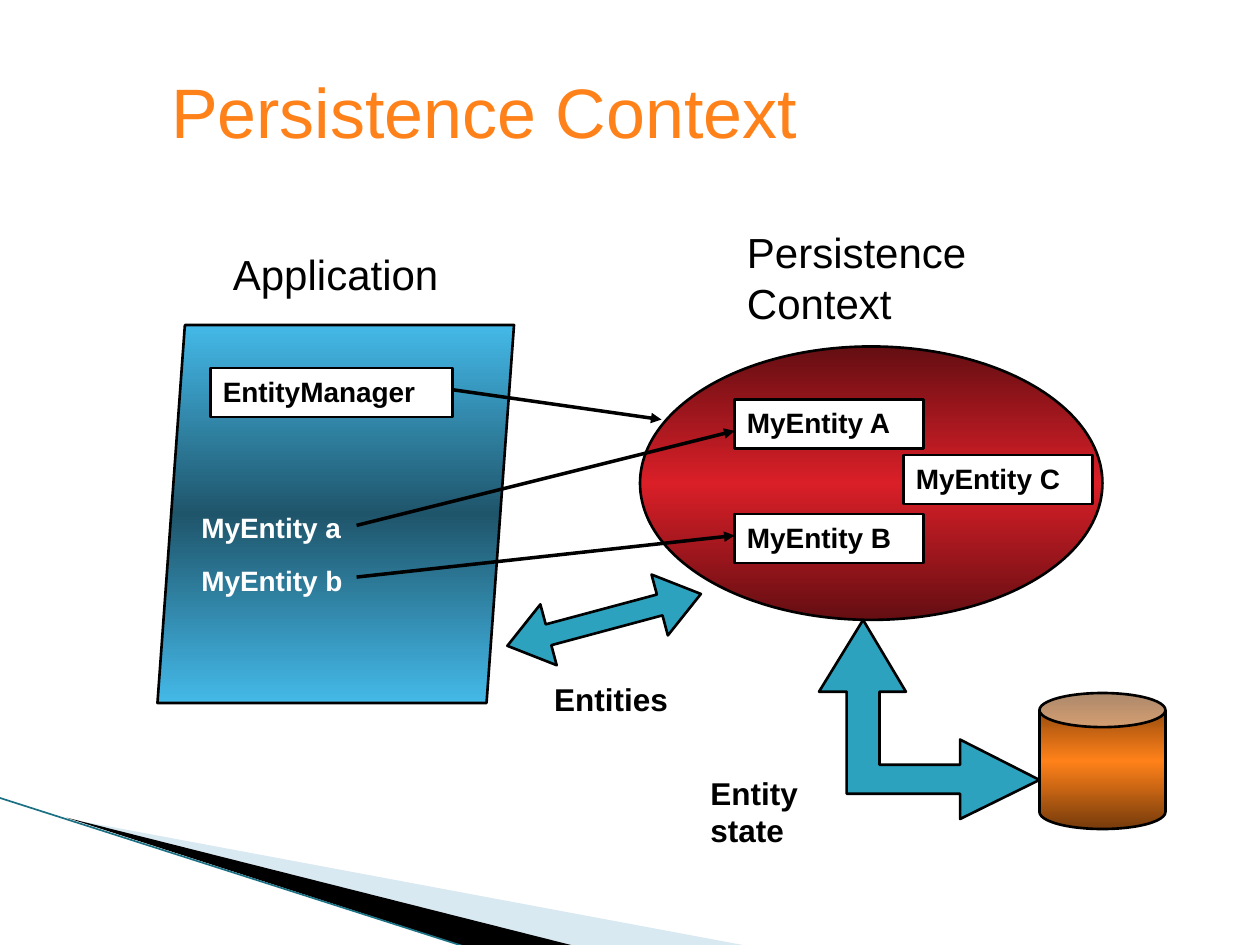
import copy
from lxml import etree
from pptx import Presentation
from pptx.dml.color import RGBColor
from pptx.enum import shapes, text
from pptx.oxml import ns
from pptx.util import Inches, Pt

presentation = Presentation()
presentation.slide_width, presentation.slide_height = Inches(10), Inches(7.5)
slide = presentation.slides.add_slide(presentation.slide_layouts[6])
KIND = shapes.MSO_SHAPE
BLACK, WHITE, TEAL = "000000", "FFFFFF", "2DA2BF"


def paint(shape, colours, outline=BLACK):
    """Fill with one colour, or with a vertical gradient of three."""
    shape.shadow.inherit = False
    if len(colours) == 1:
        shape.fill.solid()
        shape.fill.fore_color.rgb = RGBColor.from_string(colours[0])
    else:
        shape.fill.gradient()
        shape.fill.gradient_angle = 270
        stop_list = shape._element.spPr.find(".//" + ns.qn("a:gsLst"))
        stop_list.insert(1, copy.deepcopy(stop_list[0]))
        for stop, colour, position in zip(shape.fill.gradient_stops, colours, (0, 0.5, 1)):
            stop.color.rgb = RGBColor.from_string(colour)
            stop.position = position
    if outline:
        shape.line.color.rgb = RGBColor.from_string(outline)
        shape.line.width = Pt(1.5)
    else:
        shape.line.fill.background()


def write(shape, words, size, colour, bold=True, anchor=text.MSO_ANCHOR.TOP):
    frame = shape.text_frame
    frame.word_wrap = True
    frame.vertical_anchor = anchor
    paragraph = frame.paragraphs[0]
    paragraph.text = words
    paragraph.alignment = text.PP_ALIGN.LEFT
    paragraph.font.name = "Arial"
    paragraph.font.size = Pt(size)
    paragraph.font.bold = bold
    paragraph.font.color.rgb = RGBColor.from_string(colour)


# Corner wedges and the two-headed elbow arrow
outlines = [
    ([(0.55, 6.5), (5.95, 7.51), (4.56, 7.51)], "D9E9F1", None),
    ([(0.53, 6.49), (4.57, 7.51), (3.72, 7.52)], BLACK, None),
    ([(6.85, 4.92), (7.19, 5.49), (6.98, 5.49), (6.98, 6.07), (7.62, 6.07), (7.62, 5.87),
      (8.25, 6.19), (7.62, 6.5), (7.62, 6.3), (6.72, 6.3), (6.72, 5.49), (6.5, 5.49)],
     TEAL, BLACK),
]
for points, colour, outline in outlines:
    corners = [(Inches(x), Inches(y)) for x, y in points]
    builder = slide.shapes.build_freeform(*corners[0])
    builder.add_line_segments(corners[1:], close=True)
    paint(builder.convert_to_shape(), [colour], outline)

# Application, persistence context, database and entities arrow
bodies = [
    (KIND.OVAL, (5.08, 2.75, 3.67, 2.17), [], 0, ["640E12", "DA1F28", "640E12"]),
    (KIND.PARALLELOGRAM, (1.25, 2.58, 2.83, 3), [0.077], 0, ["44B9E8", "1F556B", "44B9E8"]),
    (KIND.CAN, (8.25, 5.5, 1, 1.08), [0.271], 0, ["763B0B", "FF8119", "763B0B"]),
    (KIND.LEFT_RIGHT_ARROW, (4, 4.67, 1.59, 0.5), [0.342, 0.677], 345, [TEAL]),
]
for kind, box, adjustments, rotation, colours in bodies:
    shape = slide.shapes.add_shape(kind, *map(Inches, box))
    for index, value in enumerate(adjustments):
        shape.adjustments[index] = value
    shape.rotation = rotation
    paint(shape, colours)

# Corner rule and reference arrows
lines = [
    ((-0.01, 6.33, 3.71, 7.52), "1B7083", 0.95, False),
    ((3.5, 3.08, 5.25, 3.33), BLACK, 2, True),
    ((2.83, 4.17, 5.83, 3.42), BLACK, 2, True),
    ((2.83, 4.58, 5.83, 4.25), BLACK, 2, True),
]
for ends, colour, width, arrow in lines:
    connector = slide.shapes.add_connector(shapes.MSO_CONNECTOR.STRAIGHT, *map(Inches, ends))
    connector.line.color.rgb = RGBColor.from_string(colour)
    connector.line.width = Pt(width)
    if arrow:
        etree.SubElement(connector.line._get_or_add_ln(), ns.qn("a:tailEnd"), type="triangle")
    etree.SubElement(connector._element.spPr, ns.qn("a:effectLst"))

# White boxes
for words, left, top, width in [
    ("EntityManager", 1.67, 2.92, 1.92),
    ("MyEntity A", 5.83, 3.17, 1.5),
    ("MyEntity B", 5.83, 4.08, 1.5),
    ("MyEntity C", 7.17, 3.61, 1.5),
]:
    shape = slide.shapes.add_shape(KIND.RECTANGLE, *map(Inches, (left, top, width, 0.39)))
    paint(shape, [WHITE])
    write(shape, words, 16, BLACK)

# Title and labels
for words, box, size, colour, bold, anchor in [
    ("Persistence Context", (1.26, 0.25, 8.52, 1.25), 40, "FF8119", False, text.MSO_ANCHOR.MIDDLE),
    ("Application", (1.75, 1.92, 1.92, 0.5), 24, BLACK, False, text.MSO_ANCHOR.TOP),
    ("Persistence Context", (5.83, 1.75, 2.17, 0.9), 24, BLACK, False, text.MSO_ANCHOR.TOP),
    ("MyEntity a", (1.5, 4, 2.33, 0.37), 16, WHITE, True, text.MSO_ANCHOR.TOP),
    ("MyEntity b", (1.5, 4.42, 2.33, 0.37), 16, WHITE, True, text.MSO_ANCHOR.TOP),
    ("Entities", (4.3, 5.35, 1.25, 0.4), 18, BLACK, True, text.MSO_ANCHOR.TOP),
    ("Entity state", (5.54, 6.09, 1.25, 0.7), 18, BLACK, True, text.MSO_ANCHOR.TOP),
]:
    write(slide.shapes.add_textbox(*map(Inches, box)), words, size, colour, bold, anchor)

presentation.save("out.pptx")
